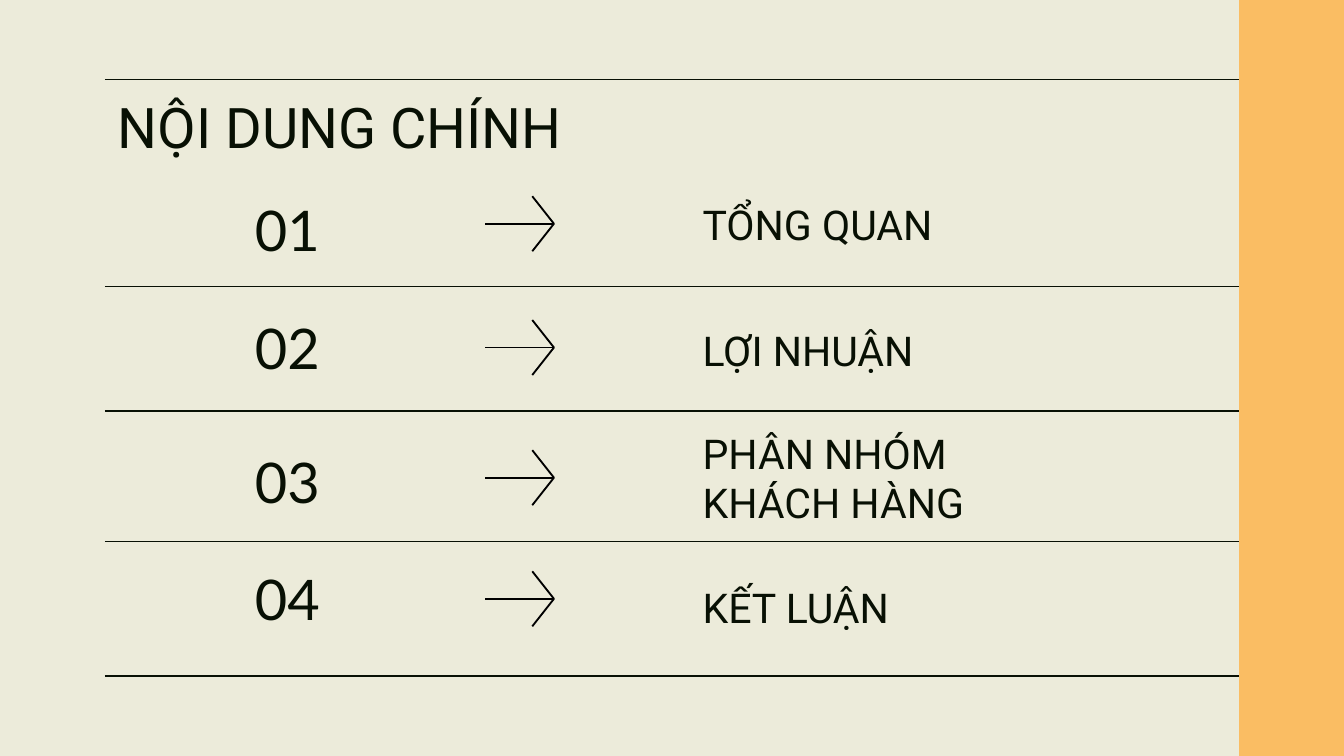
from dataclasses import dataclass

from lxml import etree
from pptx import Presentation
from pptx.dml.color import RGBColor
from pptx.enum.shapes import MSO_CONNECTOR, MSO_SHAPE
from pptx.enum.text import MSO_ANCHOR, MSO_AUTO_SIZE, PP_ALIGN
from pptx.oxml.ns import qn
from pptx.util import Cm, Pt

STRAIGHT = MSO_CONNECTOR.STRAIGHT
RECTANGLE = MSO_SHAPE.RECTANGLE
TOP, MIDDLE = MSO_ANCHOR.TOP, MSO_ANCHOR.MIDDLE
LEFT = PP_ALIGN.LEFT
NO_FIT = MSO_AUTO_SIZE.NONE

INK, PAPER, ACCENT, BLACK = "081004", "ECEBDA", "FABD63", "000000"
RULE_WIDTH = Pt(0.75)
SLIDE_W, SLIDE_H = 25.4, 14.29
MARGIN, BAND_LEFT = 1.98, 23.42
ROW_H = 1.24
NUMBER_LEFT, NUMBER_W = 4.57, 2.03
ARROW_LEFT, ARROW_W, ARROW_H, HEAD_W = 9.17, 1.3, 1.04, 0.41
TOPIC_LEFT = 13.03


@dataclass
class Entry:
    """One line of the contents; lengths in centimetres."""
    topic: str
    number_top: float
    arrow_top: float
    topic_top: float
    topic_width: float


ENTRIES = [
    Entry("TỔNG QUAN", 3.71, 3.71, 3.61, 7.49),
    Entry("LỢI NHUẬN", 5.94, 6.05, 5.99, 4.72),
    Entry("PHÂN NHÓM KHÁCH HÀNG", 8.48, 8.51, 8.41, 6.1),
    Entry("KẾT LUẬN", 10.69, 10.8, 10.85, 4.72),
]
RULE_TOPS = [1.5, 5.41, 7.77, 10.24, 12.78]


def color(value: str) -> RGBColor:
    return RGBColor.from_string(value)


def write(shape, text: str, size: float, font: str, anchor) -> None:
    frame = shape.text_frame
    frame.text = text
    frame.word_wrap = True
    frame.auto_size = NO_FIT
    frame.vertical_anchor = anchor
    frame.margin_left = frame.margin_right = Cm(0.25)
    frame.margin_top = frame.margin_bottom = Cm(0.25)
    paragraph = frame.paragraphs[0]
    paragraph.alignment = LEFT
    paragraph.line_spacing = 1.0
    paragraph.space_before = Pt(0)
    run_font = paragraph.runs[0].font
    run_font.size, run_font.name = Pt(size), font
    run_font.color.rgb = color(INK)


def add_label(slide, left: float, top: float, width: float,
              text: str, size: float, font: str) -> None:
    label = slide.shapes.add_textbox(Cm(left), Cm(top), Cm(width), Cm(ROW_H))
    write(label, text, size, font, MIDDLE)


def add_rule(slide, top: float) -> None:
    rule = slide.shapes.add_connector(
        STRAIGHT, Cm(MARGIN), Cm(top), Cm(BAND_LEFT), Cm(top))
    rule.line.color.rgb = color(INK)
    rule.line.width = RULE_WIDTH
    etree.SubElement(rule._element.spPr, qn("a:effectLst"))


def add_arrow(slide, top: float) -> None:
    tip = ARROW_LEFT + ARROW_W
    center = top + ARROW_H / 2
    builder = slide.shapes.build_freeform(Cm(ARROW_LEFT), Cm(center))
    builder.add_line_segments([(Cm(tip), Cm(center))], close=False)
    builder.move_to(Cm(tip - HEAD_W), Cm(top))
    builder.add_line_segments(
        [(Cm(tip), Cm(center)), (Cm(tip - HEAD_W), Cm(top + ARROW_H))],
        close=False)
    arrow = builder.convert_to_shape()
    arrow.shadow.inherit = False
    arrow.fill.background()
    arrow.line.color.rgb = color(BLACK)
    arrow.line.width = Pt(1)


def main() -> None:
    prs = Presentation()
    prs.slide_width, prs.slide_height = Cm(SLIDE_W), Cm(SLIDE_H)
    slide = prs.slides.add_slide(prs.slide_layouts[5])

    # Background and side band
    slide.background.fill.solid()
    slide.background.fill.fore_color.rgb = color(PAPER)
    band = slide.shapes.add_shape(
        RECTANGLE, Cm(BAND_LEFT), 0, Cm(SLIDE_W - BAND_LEFT), Cm(SLIDE_H))
    band.shadow.inherit = False
    band.fill.solid()
    band.fill.fore_color.rgb = color(ACCENT)
    band.line.fill.background()

    # Heading
    title = slide.shapes.title
    title.left, title.top = Cm(MARGIN), Cm(RULE_TOPS[0])
    title.width, title.height = Cm(BAND_LEFT - MARGIN), Cm(1.6)
    write(title, "NỘI DUNG CHÍNH", 30, "Roboto", TOP)

    # Contents
    for top in RULE_TOPS:
        add_rule(slide, top)
    for number, entry in enumerate(ENTRIES, start=1):
        add_label(slide, NUMBER_LEFT, entry.number_top, NUMBER_W,
                  f"{number:02}", 30, "Lato")
        add_arrow(slide, entry.arrow_top)
        add_label(slide, TOPIC_LEFT, entry.topic_top, entry.topic_width,
                  entry.topic, 22, "Roboto")

    prs.save("out.pptx")


if __name__ == "__main__":
    main()
